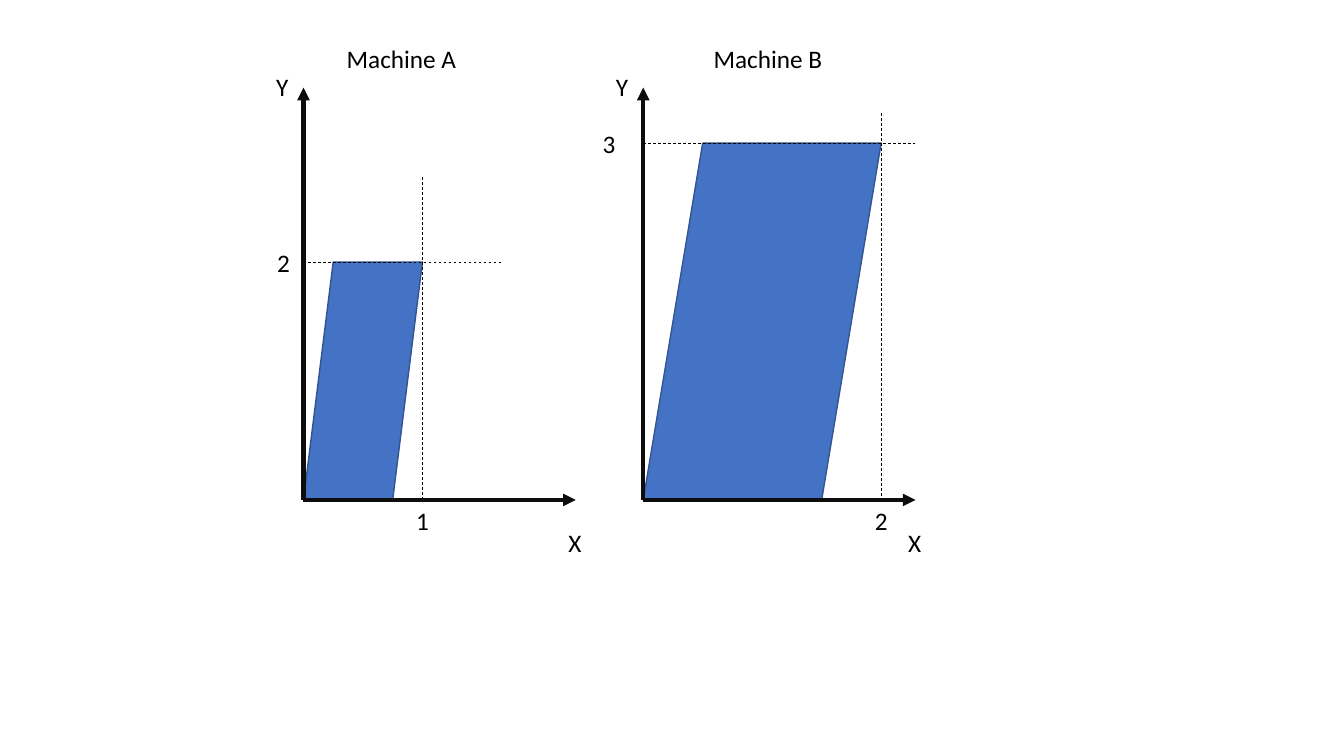
from lxml.etree import SubElement
from pptx import Presentation
from pptx.dml.color import RGBColor
from pptx.enum.dml import MSO_LINE
from pptx.enum.shapes import MSO_CONNECTOR, MSO_SHAPE
from pptx.enum.text import MSO_AUTO_SIZE
from pptx.oxml.ns import qn
from pptx.util import Inches, Pt

COLORS = {"fill": "4472C4", "outline": "325491", "axis": "0D0D0D", "text": "000000", "guide": "000000"}
UNIT = 1.18  # inches per axis unit
LABEL_WIDTH, LABEL_HEIGHT = 0.33, 0.4


def color(name):
    return RGBColor.from_string(COLORS[name])


def add_text(shapes, text, left, top, width=LABEL_WIDTH, size=18, font="Calibri", text_color="text"):
    box = shapes.add_textbox(Inches(left), Inches(top), Inches(width), Inches(LABEL_HEIGHT))
    frame = box.text_frame
    frame.word_wrap = False
    frame.auto_size = MSO_AUTO_SIZE.SHAPE_TO_FIT_TEXT
    run = frame.paragraphs[0].add_run()
    run.text = text
    run.font.size = Pt(size)
    run.font.name = font
    run.font.color.rgb = color(text_color)


def add_line(shapes, start, end, line_color, width, dashed=False, arrow=False):
    points = [Inches(value) for value in (*start, *end)]
    connector = shapes.add_connector(MSO_CONNECTOR.STRAIGHT, *points)
    connector.line.color.rgb = color(line_color)
    connector.line.width = Pt(width)
    if dashed:
        connector.line.dash_style = MSO_LINE.DASH
    if arrow:
        SubElement(connector.line._get_or_add_ln(), qn("a:tailEnd"), type="triangle")
    SubElement(connector._element.spPr, qn("a:effectLst"))


def add_machine(slide, box, x, y, guide_top, guide_width, y_label_gap):
    """Draw axes, the x by y parallelogram and its guides; box is the axis area."""
    left, top, width, height = box
    bottom = top + height
    corner_x, corner_y = left + x * UNIT, bottom - y * UNIT
    shapes = slide.shapes.add_group_shape().shapes

    # Parallelogram
    area = shapes.add_shape(MSO_SHAPE.PARALLELOGRAM, Inches(left), Inches(corner_y),
                            Inches(x * UNIT), Inches(y * UNIT))
    area.shadow.inherit = False
    area.fill.solid()
    area.fill.fore_color.rgb = color("fill")
    area.line.color.rgb = color("outline")
    area.line.width = Pt(1)

    # Axes
    for end in ((left, top), (left + width, bottom)):
        add_line(shapes, (left, bottom), end, "axis", 3, arrow=True)

    # Dashed guides
    add_line(shapes, (corner_x, guide_top), (corner_x, bottom), "guide", 0.5, dashed=True)
    add_line(shapes, (left, corner_y), (left + guide_width, corner_y), "guide", 0.5, dashed=True)

    # Values and axis names
    add_text(shapes, str(x), corner_x - 0.16, bottom)
    add_text(shapes, str(y), left - y_label_gap, corner_y - LABEL_HEIGHT / 2)
    add_text(shapes, "X", left + width - 0.17, bottom + 0.22)
    add_text(shapes, "Y", left - 0.37, top - 0.21)


presentation = Presentation()
presentation.slide_width, presentation.slide_height = Inches(13.33), Inches(7.5)
slide = presentation.slides.add_slide(presentation.slide_layouts[6])

add_machine(slide, (3.01, 0.87, 2.7, 4.09), x=1, y=2, guide_top=1.76, guide_width=1.96, y_label_gap=0.36)
add_machine(slide, (6.38, 0.87, 2.7, 4.09), x=2, y=3, guide_top=1.12, guide_width=2.7, y_label_gap=0.5)

# Machine names
for name, left in (("Machine A", 3.34), ("Machine B", 6.98)):
    add_text(slide.shapes, name, left, 0.38, width=1.3)

presentation.save("out.pptx")
